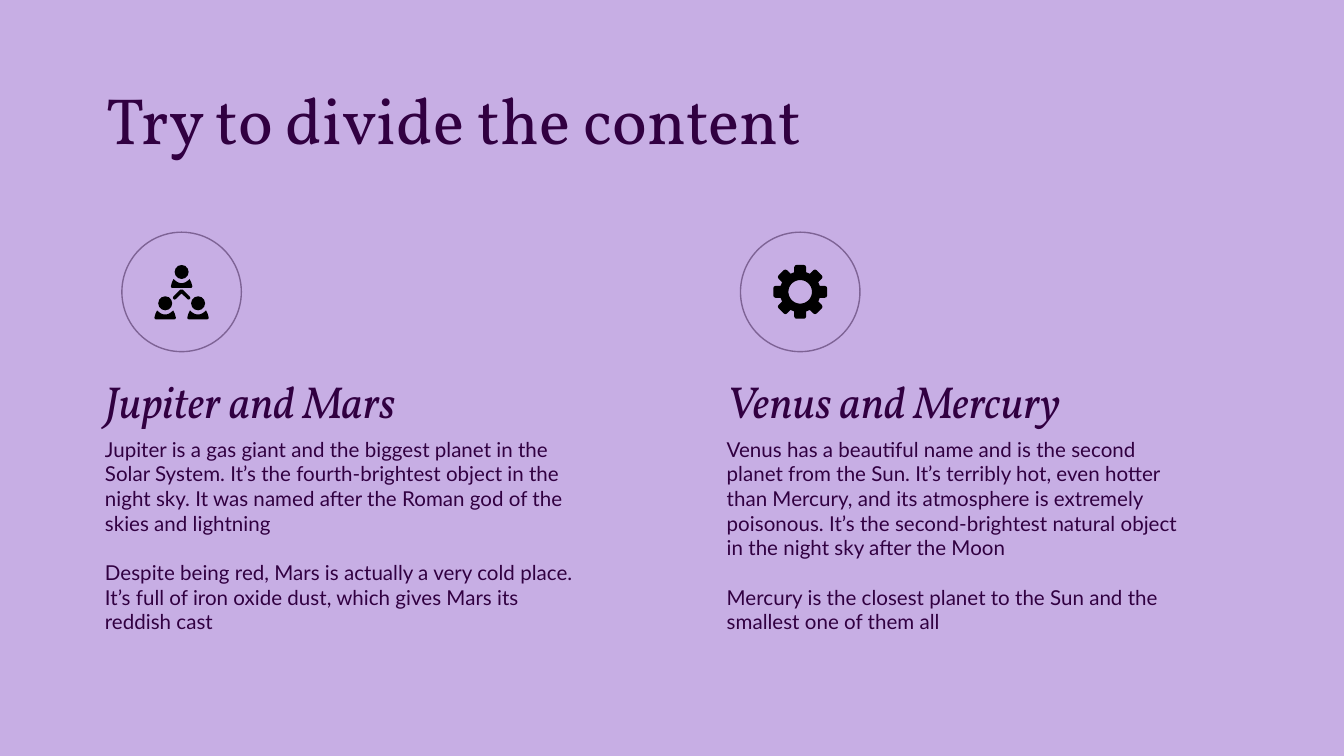
from dataclasses import dataclass
from math import cos, pi, sin

from pptx import Presentation
from pptx.dml.color import RGBColor
from pptx.enum.shapes import MSO_SHAPE
from pptx.enum.text import MSO_ANCHOR, MSO_AUTO_SIZE, PP_ALIGN
from pptx.util import Pt

ELLIPSE = MSO_SHAPE.OVAL
TOP, BOTTOM = MSO_ANCHOR.TOP, MSO_ANCHOR.BOTTOM
LEFT = PP_ALIGN.LEFT
NO_AUTOFIT = MSO_AUTO_SIZE.NONE
TITLE_ONLY = 5


@dataclass(frozen=True)
class Theme:
    background: RGBColor = RGBColor(0xC7, 0xAE, 0xE4)
    ink: RGBColor = RGBColor(0x31, 0x00, 0x41)
    ring: RGBColor = RGBColor(0x7E, 0x63, 0x95)
    icon: RGBColor = RGBColor(0, 0, 0)
    display_font: str = "Vollkorn"
    body_font: str = "Lato"
    title_size: float = 35
    heading_size: float = 24
    body_size: float = 11
    paragraph_gap: float = 13.2


THEME = Theme()


def place(shape, left, top, width, height):
    shape.left, shape.top = Pt(left), Pt(top)
    shape.width, shape.height = Pt(width), Pt(height)


def write(shape, texts, font_name, size, anchor=TOP, italic=False):
    frame = shape.text_frame
    frame.word_wrap = True
    frame.auto_size = NO_AUTOFIT
    frame.vertical_anchor = anchor
    frame.margin_left = frame.margin_right = 0
    frame.margin_top = frame.margin_bottom = Pt(7.2)
    for index, text in enumerate(texts):
        paragraph = frame.add_paragraph() if index else frame.paragraphs[0]
        paragraph.alignment = LEFT
        if index:
            paragraph.space_before = Pt(THEME.paragraph_gap)
        run = paragraph.add_run()
        run.text = text
        run.font.name = font_name
        run.font.size = Pt(size)
        run.font.italic = italic
        run.font.color.rgb = THEME.ink


def fill_icon(shape):
    shape.shadow.inherit = False
    shape.fill.solid()
    shape.fill.fore_color.rgb = THEME.icon
    shape.line.fill.background()


def add_outline(shapes, center_x, center_y, *contours):
    moved = [[(Pt(center_x + x), Pt(center_y + y)) for x, y in contour]
             for contour in contours]
    builder = shapes.build_freeform(*moved[0][0])
    for index, contour in enumerate(moved):
        if index:
            builder.move_to(*contour[0])
        builder.add_line_segments(contour[1:], close=True)
    fill_icon(builder.convert_to_shape())


def mirror(points):
    return points + [(-x, y) for x, y in reversed(points)]


def add_person(shapes, center_x, center_y):
    radius = 3.75
    head = shapes.add_shape(ELLIPSE, Pt(center_x - radius), Pt(center_y - radius),
                            Pt(2 * radius), Pt(2 * radius))
    fill_icon(head)
    collar = [(4.3 * step / 8, 2.2 * (1 - (step / 8) ** 2)) for step in range(9)]
    side = [(5.1, 1.6), (5.75, 3.9), (5.5, 4.6), (4.9, 4.8)]
    add_outline(shapes, center_x, center_y + 3.8, mirror(collar + side))


def add_team_icon(shapes, center_x, center_y):
    for x, y in ((0, -10.7), (-8.8, 6.1), (8.8, 6.1)):
        add_person(shapes, center_x + x, center_y + y)
    chevron = [(0.6, -1.3), (4.4, 2.5), (4.7, 3.3), (4, 4.1), (3.2, 3.9), (0, 0.8)]
    add_outline(shapes, center_x, center_y, mirror(chevron))


def add_gear_icon(shapes, center_x, center_y):
    tooth = [(10.5, -3.2), (13.2, -3.2), (14.1, -2.8), (14.4, -2),
             (14.4, 2), (14.1, 2.8), (13.2, 3.2), (10.5, 3.2)]
    rim = []
    for index in range(8):
        angle = index * pi / 4
        rim += [(out * cos(angle) - side * sin(angle),
                 out * sin(angle) + side * cos(angle)) for out, side in tooth]
    hole = [(6.3 * cos(step * pi / 24), -6.3 * sin(step * pi / 24))
            for step in range(48)]
    add_outline(shapes, center_x, center_y, rim, hole)


def add_title(slide, box, text):
    title = slide.shapes.title
    place(title, *box)
    write(title, [text], THEME.display_font, THEME.title_size)


def add_column(slide, box, ring_indent, draw_icon, heading, texts):
    left, top, width, height = box
    diameter = 64
    ring_left = left + ring_indent
    ring = slide.shapes.add_shape(ELLIPSE, Pt(ring_left), Pt(top),
                                  Pt(diameter), Pt(diameter))
    ring.shadow.inherit = False
    ring.fill.background()
    ring.line.color.rgb = THEME.ring
    ring.line.width = Pt(0.75)
    icon = slide.shapes.add_group_shape()
    draw_icon(icon.shapes, ring_left + diameter / 2, top + diameter / 2)

    heading_top, body_top = 70, 102.4
    heading_box = slide.shapes.add_textbox(
        Pt(left), Pt(top + heading_top), Pt(width), Pt(41.8))
    write(heading_box, [heading], THEME.display_font, THEME.heading_size,
          BOTTOM, True)
    body_box = slide.shapes.add_textbox(
        Pt(left), Pt(top + body_top), Pt(width), Pt(height - body_top))
    write(body_box, texts, THEME.body_font, THEME.body_size)


def main():
    presentation = Presentation()
    presentation.slide_width, presentation.slide_height = Pt(720), Pt(405)
    slide = presentation.slides.add_slide(presentation.slide_layouts[TITLE_ONLY])
    slide.background.fill.solid()
    slide.background.fill.fore_color.rgb = THEME.background

    add_title(slide, (56.9, 35.3, 607, 82.8), "Try to divide the content")
    columns = (
        (56.2, 9.1, add_team_icon, "Jupiter and Mars", (
            "Jupiter is a gas giant and the biggest planet in the Solar System. "
            "It’s the fourth-brightest object in the night sky. It was named "
            "after the Roman god of the skies and lightning",
            "Despite being red, Mars is actually a very cold place. It’s full of "
            "iron oxide dust, which gives Mars its reddish cast")),
        (389.3, 7.4, add_gear_icon, "Venus and Mercury", (
            "Venus has a beautiful name and is the second planet from the Sun. "
            "It’s terribly hot, even hotter than Mercury, and its atmosphere is "
            "extremely poisonous. It’s the second-brightest natural object in "
            "the night sky after the Moon",
            "Mercury is the closest planet to the Sun and the smallest one of "
            "them all")),
    )
    for left, ring_indent, draw_icon, heading, texts in columns:
        add_column(slide, (left, 124.4, 251.3, 228.4), ring_indent, draw_icon,
                   heading, texts)
    presentation.save("out.pptx")


if __name__ == "__main__":
    main()
